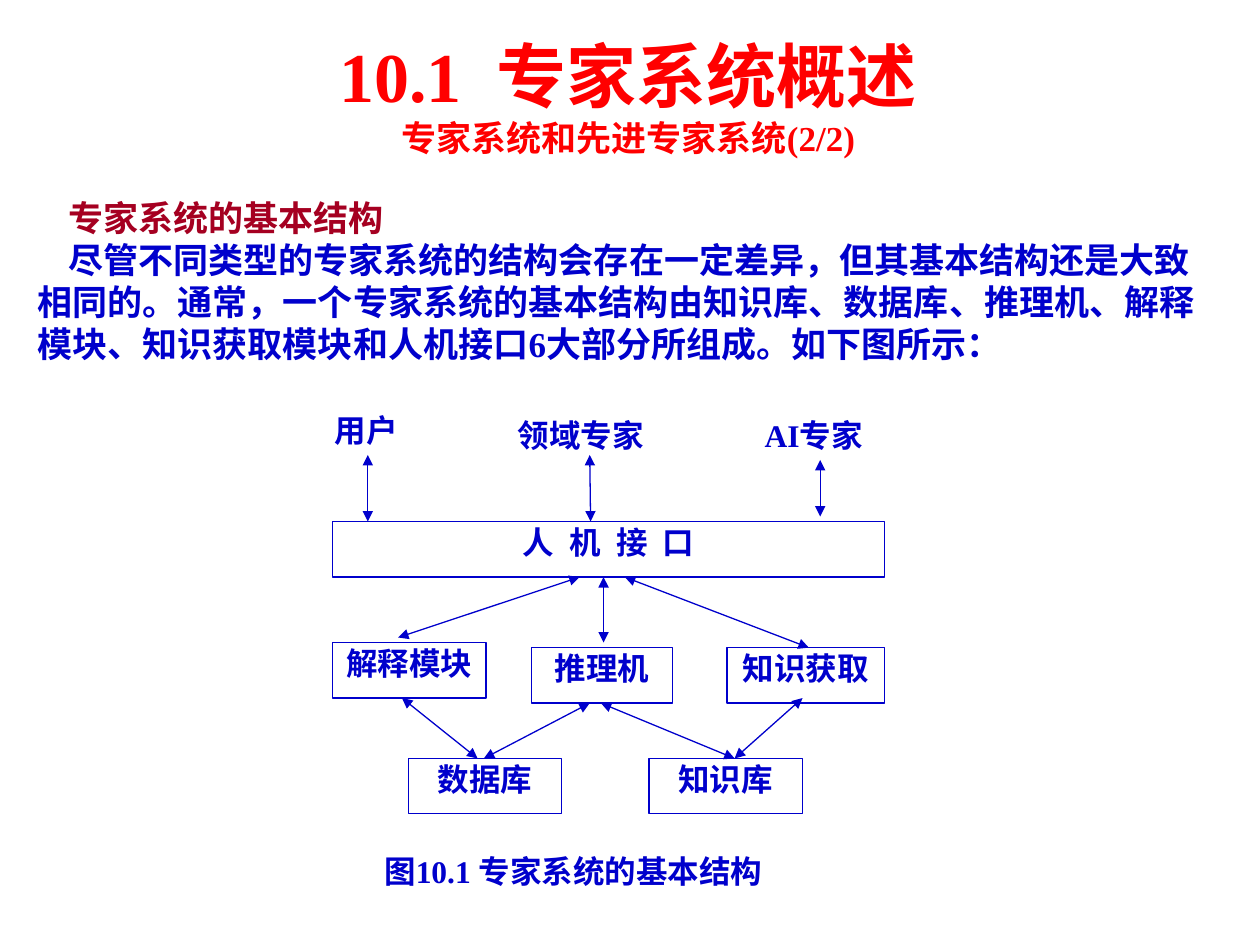
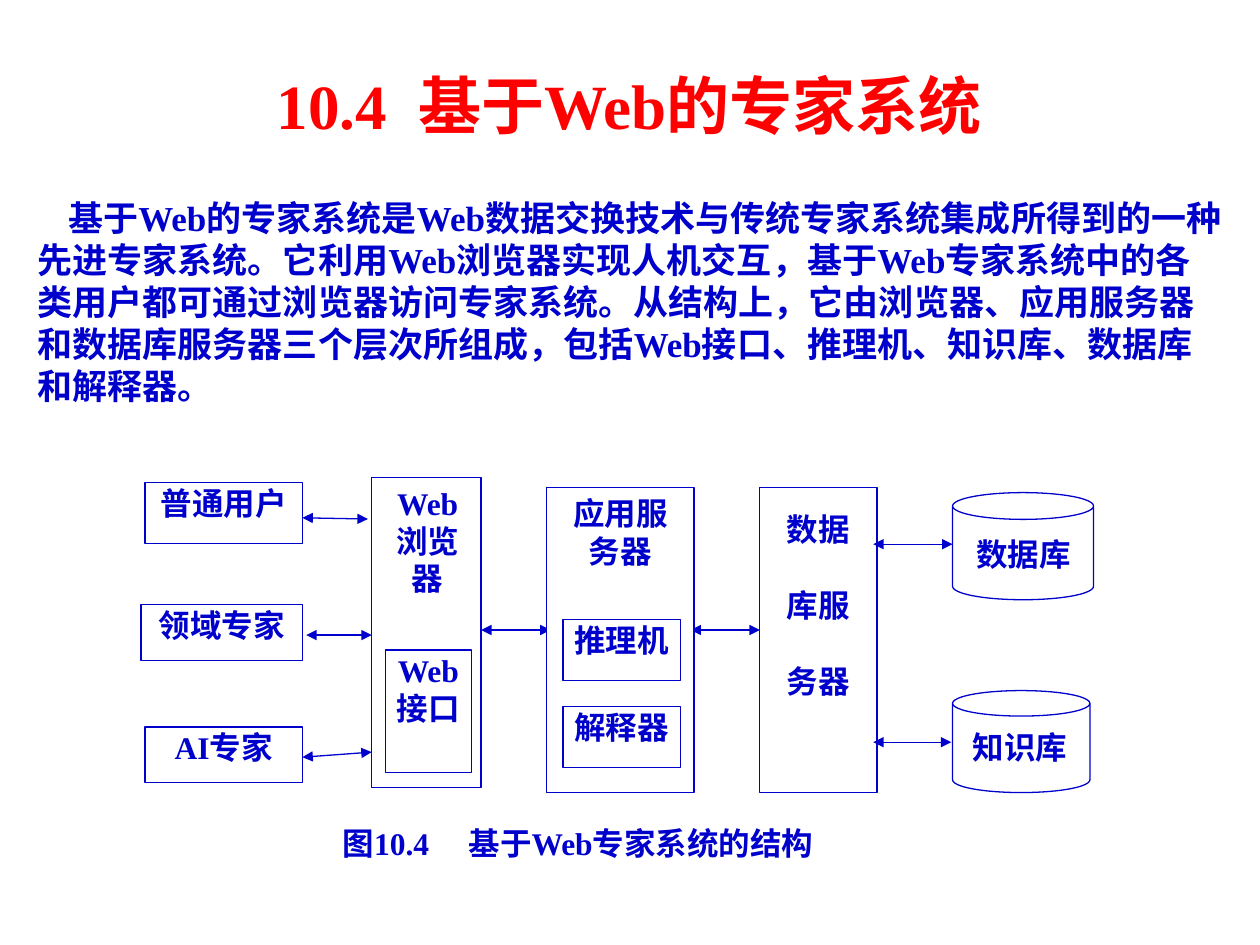
from pptx import Presentation
from pptx.dml.color import RGBColor as RGB
from pptx.enum.shapes import MSO_CONNECTOR as Conn, MSO_SHAPE as Kind
from pptx.enum.text import MSO_ANCHOR as Anchor, PP_ALIGN as Align
from pptx.oxml.ns import qn
from pptx.util import Pt
from lxml.etree import SubElement as Sub

BLUE = RGB(0x00, 0x00, 0xCC)
RED = RGB(0xFF, 0x00, 0x00)
WINE = RGB(0xA5, 0x00, 0x21)
WHITE = RGB(0xFF, 0xFF, 0xFF)
FONT = "Times New Roman"
THIN = 0.75
ROW = 31.7  # usual box height
TIGHT = (1.4, 0.7, 1.4, 0.7)
BARE = (0, 0.7, 0, 0.7)
ROOMY = (7.2, 3.6, 7.2, 3.6)


class Deck:
    def __init__(self):
        self.prs = Presentation()
        self.prs.slide_width, self.prs.slide_height = Pt(720), Pt(540)

    def page(self):
        self.slide = self.prs.slides.add_slide(self.prs.slide_layouts[6])
        self.items = self.slide.shapes

    def fill_in(self, shape, lines, inset, align, gap=0, lead=0, dent=0):
        """Fill a shape with (text, size, colour) lines; gap widens spaces."""
        frame = shape.text_frame
        frame.word_wrap = True
        frame.vertical_anchor = Anchor.TOP
        (frame.margin_left, frame.margin_top,
         frame.margin_right, frame.margin_bottom) = map(Pt, inset)
        for i, (text, size, color) in enumerate(lines):
            para = frame.add_paragraph() if i else frame.paragraphs[0]
            para.alignment = align
            if i and lead:
                para.space_before = Pt(lead)
            if dent:
                para._p.get_or_add_pPr().set("indent", str(Pt(dent)))
            font = para.font
            font.name, font.size, font.bold = FONT, Pt(size), True
            font.color.rgb = color
            words = text.split(" ") if gap else [text]
            for j, word in enumerate(words):
                if j:
                    space = para.add_run()
                    space.text = " "
                    space._r.get_or_add_rPr().set("spc", str(int(gap * 100)))
                para.add_run().text = word

    def text(self, area, lines, align=Align.LEFT, gap=0, dent=0):
        shape = self.items.add_textbox(*map(Pt, area))
        self.fill_in(shape, lines, ROOMY, align, gap, dent=dent)

    def title(self, area, lines, gap):
        self.text(area, [(t, s, RED) for t, s in lines], Align.CENTER, gap)

    def body(self, area, *lines):
        self.text(area, [(t, 20, c) for t, c in lines], dent=17.5)

    def box(self, area, text="", kind=Kind.RECTANGLE, edge=True,
            inset=TIGHT, align=Align.CENTER, gap=0, lead=0):
        shape = self.items.add_shape(kind, *map(Pt, area))
        shape.shadow.inherit = False
        shape.fill.solid()
        shape.fill.fore_color.rgb = WHITE
        if edge:
            shape.line.color.rgb = BLUE
            shape.line.width = Pt(THIN)
        else:
            shape.line.fill.background()
        if text:
            lines = [(t, 18, BLUE) for t in text.split("\n")]
            self.fill_in(shape, lines, inset, align, gap, lead)

    def label(self, area, text, gap=0):
        self.box(area, text, edge=False, align=Align.LEFT, gap=gap)

    def store(self, area, spot, text):
        self.box(area, kind=Kind.CAN)
        self.box(spot, text, edge=False, inset=BARE)

    def arrows(self, *ends):
        for end in ends:
            link = self.items.add_connector(Conn.STRAIGHT, *map(Pt, end))
            link.line.color.rgb = BLUE
            link.line.width = Pt(THIN)
            props = link._element.spPr
            for tip in ("a:headEnd", "a:tailEnd"):
                Sub(props.find(qn("a:ln")), qn(tip), type="triangle")
            Sub(props, qn("a:effectLst"))


def basic(deck):
    deck.page()
    # Boxes of the system
    deck.box((190, 298, 315.4, ROW), "人 机 接 口", gap=4.5)
    for left, top, width, name in (
            (190, 367.2, 87.8, "解释模块"),
            (303.8, 370.1, 80.6, "推理机"),
            (415.4, 370.1, 90, "知识获取"),
            (233.3, 433.4, 87.8, "数据库"),
            (370.8, 433.4, 87.8, "知识库")):
        deck.box((left, top, width, ROW), name)
    # People and caption
    for left, top, width, name in (
            (190, 234, 51, "用户"),
            (294.5, 236.9, 87.8, "领域专家"),
            (435.6, 236.9, 74.2, "AI专家"),
            (218.2, 486, 260, "图10.1 专家系统的基本结构")):
        deck.label((left, top, width, ROW), name)
    # Links: people, interface to modules, modules to stores
    deck.arrows(
        (210.2, 260, 210.2, 298), (337, 260, 337.5, 298),
        (468.7, 262.8, 468.7, 295.2),
        (331.2, 329.8, 227.5, 364.3), (344.9, 329.8, 344.9, 367.2),
        (357.1, 329.8, 462.2, 370.1),
        (229.7, 398.9, 272.9, 433.4), (337, 401.8, 276.5, 433.4),
        (458.6, 398.9, 419.8, 433.4), (343.4, 401.8, 419.8, 433.4))
    # Heading and body
    deck.body(
        (14.4, 108.7, 689, 103.7),
        ("专家系统的基本结构", WINE),
        ("尽管不同类型的专家系统的结构会存在一定差异，但其基本结构还是大致"
         "相同的。通常，一个专家系统的基本结构由知识库、数据库、推理机、解释"
         "模块、知识获取模块和人机接口6大部分所组成。如下图所示：", BLUE))
    deck.title((102.2, 15.1, 513.4, 79.2),
               [("10.1 专家系统概述", 40),
                ("专家系统和先进专家系统(2/2)", 20)], gap=10)


def web(deck):
    deck.page()
    # Heading and body
    deck.title((19.4, 34.6, 680.4, 50.4),
               [("10.4 基于Web的专家系统", 36)], gap=9)
    deck.body(
        (14.4, 108.7, 691.9, 127.4),
        ("基于Web的专家系统是Web数据交换技术与传统专家系统集成所得到的一"
         "种先进专家系统。它利用Web浏览器实现人机交互，基于Web专家系统中"
         "的各类用户都可通过浏览器访问专家系统。从结构上，它由浏览器、应用服"
         "务器和数据库服务器三个层次所组成，包括Web接口、推理机、知识库、数"
         "据库和解释器。", BLUE))
    # Users
    deck.box((82.8, 275.8, 90, 34.6), "普通用户")
    deck.box((80.6, 345.6, 92.2, ROW), "领域专家")
    deck.box((82.8, 415.4, 90, ROW), "AI专家")
    # Browser and database server
    deck.box((212.4, 272.9, 62.6, 177.1), "Web\n浏览\n器",
             inset=(4.3, 3.6, 2.9, 2.9))
    deck.box((220.3, 371.5, 49, 69.8), "Web接口")
    deck.box((434.2, 278.6, 67, 174.2), "数据\n库服\n务器",
             inset=(1.4, 13, 1.4, 0.7), lead=21.6)
    # Links that the application server partly covers
    deck.arrows((275, 360, 314.6, 360), (434.2, 360, 394.6, 360))
    # Application server
    deck.box((312.5, 278.6, 84.2, 174.2), "应用服\n务器",
             inset=(1.4, 3.6, 1.4, 3.6))
    for top, name in ((354.2, "推理机"), (403.9, "解释器")):
        deck.box((321.8, top, 67, 34.6), name)
    # Stores
    deck.store((544.3, 281.5, 80.6, 61.2), (553.7, 305.3, 62.6, 28.8), "数据库")
    deck.store((544.3, 394.6, 78.5, 58.3), (551.5, 415.4, 62.6, ROW), "知识库")
    # Links of users and stores
    deck.arrows(
        (172.8, 295.9, 210.2, 296.6), (175, 362.9, 212.4, 362.9),
        (212.4, 429.8, 172.8, 432.7),
        (499, 311, 544.3, 311), (543.6, 424.1, 499, 424.1))
    deck.label((194.4, 470.2, 332, ROW), "图10.4 基于Web专家系统的结构", gap=18)


def main():
    deck = Deck()
    basic(deck)
    web(deck)
    deck.prs.save("out.pptx")


if __name__ == "__main__":
    main()
